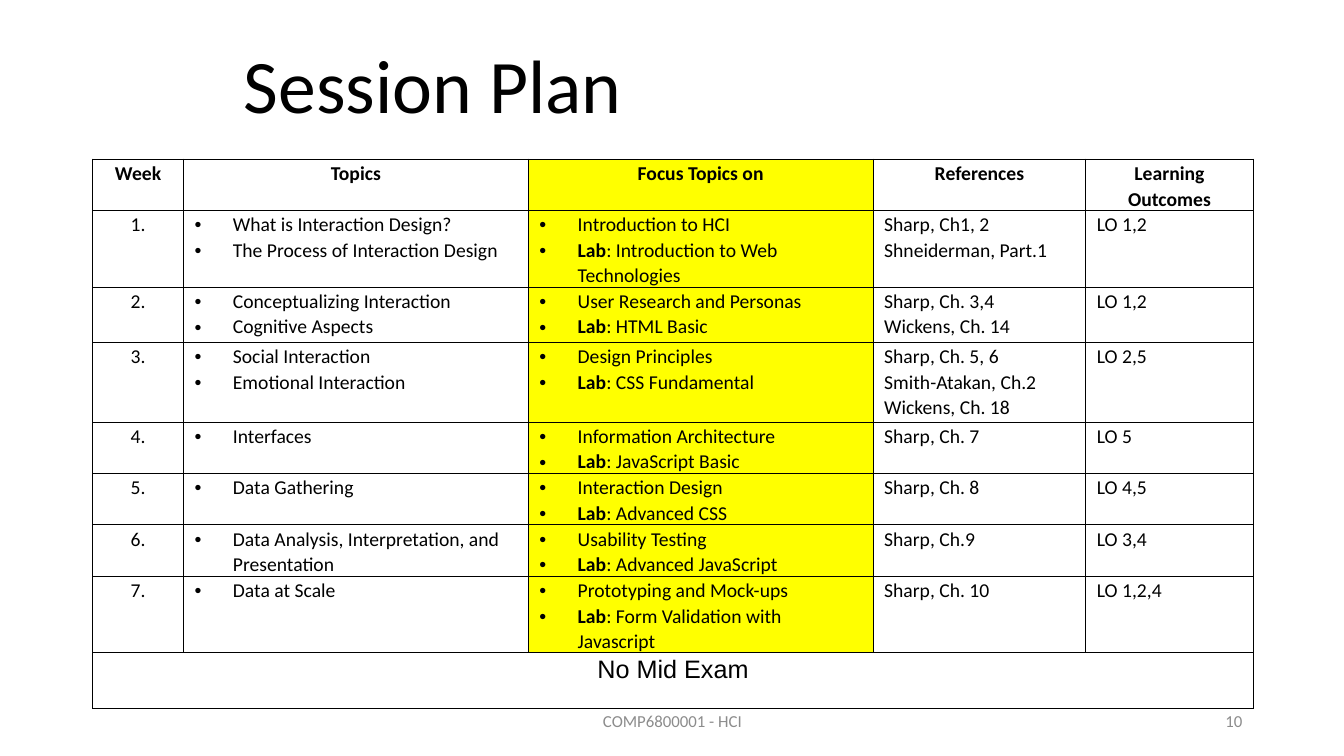
"""Build the Session Plan slide with its weekly table."""
from pptx import Presentation
from pptx.dml.color import RGBColor
from pptx.enum.text import MSO_ANCHOR, PP_ALIGN
from pptx.oxml import parse_xml
from pptx.oxml.ns import nsdecls
from pptx.util import Inches, Pt

BLACK = RGBColor(0, 0, 0)
GREY = RGBColor(0x8C, 0x8C, 0x8C)
YELLOW = RGBColor(0xFF, 0xFF, 0)
LEFT, MID, RIGHT = PP_ALIGN.LEFT, PP_ALIGN.CENTER, PP_ALIGN.RIGHT

HEADS = ["Week", "Topics", "Focus Topics on", "References", "Learning Outcomes"]
WEEKS = [
    (["What is Interaction Design?", "The Process of Interaction Design"],
     "Introduction to HCI", "Introduction to Web Technologies",
     ["Sharp, Ch1, 2", "Shneiderman, Part.1"], "LO 1,2"),
    (["Conceptualizing Interaction", "Cognitive Aspects"],
     "User Research and Personas", "HTML Basic",
     ["Sharp, Ch. 3,4", "Wickens, Ch. 14"], "LO 1,2"),
    (["Social Interaction", "Emotional Interaction"],
     "Design Principles", "CSS Fundamental",
     ["Sharp, Ch. 5, 6", "Smith-Atakan, Ch.2", "Wickens, Ch. 18"], "LO 2,5"),
    (["Interfaces"], "Information Architecture", "JavaScript Basic",
     ["Sharp, Ch. 7"], "LO 5"),
    (["Data Gathering"], "Interaction Design", "Advanced CSS",
     ["Sharp, Ch. 8"], "LO 4,5"),
    (["Data Analysis, Interpretation, and Presentation"],
     "Usability Testing", "Advanced JavaScript", ["Sharp, Ch.9"], "LO 3,4"),
    (["Data at Scale"], "Prototyping and Mock-ups",
     "Form Validation with Javascript", ["Sharp, Ch. 10"], "LO 1,2,4"),
]
WIDTHS = [0.9, 3.42, 3.42, 2.11, 1.66]
HEIGHTS = [0.5, 0.74, 0.55, 0.79, 0.5, 0.5, 0.5, 0.74, 0.55]


def add_run(para, text, size, color=BLACK, bold=False, face="Calibri"):
    run = para.add_run()
    run.text = text
    look = {"size": Pt(size), "bold": bold, "name": face}
    for key, value in look.items():
        setattr(run.font, key, value)
    run.font.color.rgb = color


def fill_cell(cell, lines, align=LEFT, bullet=False, **look):
    frame = cell.text_frame
    for i, line in enumerate(lines):
        para = frame.add_paragraph() if i else frame.paragraphs[0]
        para.alignment = align
        para.line_spacing = 1.07
        if bullet:
            props = para._p.get_or_add_pPr()
            props.set("marL", str(Inches(0.38)))
            props.set("indent", str(-Inches(0.38)))
            props.append(parse_xml(f'<a:buFont {nsdecls("a")} typeface="Arial"/>'))
            props.append(parse_xml(f'<a:buChar {nsdecls("a")} char="•"/>'))
        if line.startswith("Lab:"):
            add_run(para, "Lab", bold=True, **look)
            line = line.removeprefix("Lab")
        add_run(para, line, **look)


deck = Presentation()
deck.slide_width, deck.slide_height = Inches(13.33), Inches(7.5)
slide = deck.slides.add_slide(deck.slide_layouts[6])

LABELS = [
    ("Session Plan", (2.32, 0.32, 10.09, 1.02), MSO_ANCHOR.BOTTOM, LEFT, 54, BLACK, 0.9, 0),
    ("COMP6800001 - HCI", (4.42, 6.95, 4.5, 0.4), MSO_ANCHOR.MIDDLE, MID, 12, GREY, 1.0, 6),
    ("10", (9.42, 6.95, 3, 0.4), MSO_ANCHOR.MIDDLE, RIGHT, 12, GREY, 1.0, 6),
]
for text, place, anchor, align, size, color, space, after in LABELS:
    frame = slide.shapes.add_textbox(*map(Inches, place)).text_frame
    frame.word_wrap = True
    frame.vertical_anchor = anchor
    para = frame.paragraphs[0]
    look = {"alignment": align, "line_spacing": space, "space_after": Pt(after)}
    for key, value in look.items():
        setattr(para, key, value)
    add_run(para, text, size, color)

table = slide.shapes.add_table(
    len(HEIGHTS), len(WIDTHS), Inches(0.92), Inches(1.58),
    Inches(sum(WIDTHS)), Inches(sum(HEIGHTS))).table
table.first_row = table.horz_banding = False
for col, width in zip(table.columns, WIDTHS):
    col.width = Inches(width)
for row, height in zip(table.rows, HEIGHTS):
    row.height = Inches(height)

last = len(HEIGHTS) - 1
pad = {"margin_left": 0.11, "margin_top": 0.01, "margin_right": 0.11, "margin_bottom": 0}
for r, row in enumerate(table.rows):
    for c, cell in enumerate(row.cells):
        for key, value in pad.items():
            setattr(cell, key, Inches(value))
        props = cell._tc.get_or_add_tcPr()
        for side in "LRTB":
            props.append(parse_xml(
                f'<a:ln{side} {nsdecls("a")} w="{Pt(1)}"><a:solidFill>'
                f'<a:srgbClr val="{BLACK}"/></a:solidFill></a:ln{side}>'))
        if c == 2 and r < last:
            cell.fill.solid()
            cell.fill.fore_color.rgb = YELLOW
        else:
            cell.fill.background()

for c, head in enumerate(HEADS):
    fill_cell(table.cell(0, c), [head], MID, size=14, bold=True)
for r, (topics, focus, lab, refs, goal) in enumerate(WEEKS, 1):
    fill_cell(table.cell(r, 0), [f"{r}."], MID, size=14)
    fill_cell(table.cell(r, 1), topics, bullet=True, size=14)
    fill_cell(table.cell(r, 2), [focus, f"Lab: {lab}"], bullet=True, size=14)
    fill_cell(table.cell(r, 3), refs, size=14)
    fill_cell(table.cell(r, 4), [goal], size=14)
table.cell(last, 0).merge(table.cell(last, len(WIDTHS) - 1))
fill_cell(table.cell(last, 0), ["No Mid Exam"], MID, size=18, face="Arial")

deck.save("out.pptx")
